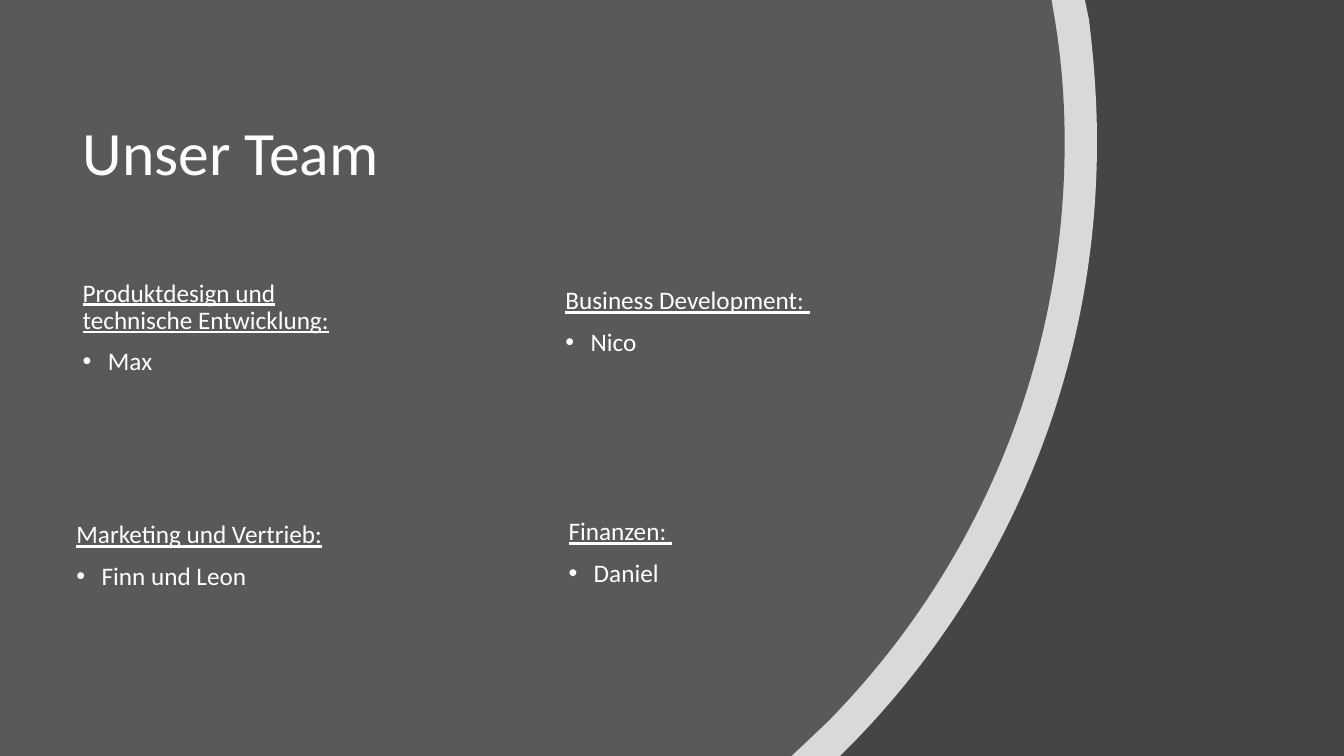
from dataclasses import dataclass

from lxml import etree
from pptx import Presentation
from pptx.dml.color import RGBColor
from pptx.enum import text
from pptx.oxml import ns
from pptx.util import Inches, Pt


@dataclass(frozen=True)
class Theme:
    font: str = "Calibri"
    title_size: int = 44
    body_size: int = 18
    background: RGBColor = RGBColor(0x45, 0x45, 0x45)
    panel: RGBColor = RGBColor(0x59, 0x59, 0x59)
    white: RGBColor = RGBColor(0xFF, 0xFF, 0xFF)


theme = Theme()


def add_run(paragraph, words, size, underline=False):
    paragraph.line_spacing = 0.9
    run = paragraph.add_run()
    run.text = words
    run.font.name = theme.font
    run.font.size = Pt(size)
    run.font.color.rgb = theme.white
    run.font.underline = underline


def set_bullet(paragraph, indent, bullet=None):
    properties = paragraph._p.get_or_add_pPr()
    properties.set("marL", str(Inches(indent)))
    properties.set("indent", str(-Inches(indent)))
    if bullet:
        font = etree.SubElement(properties, ns.qn("a:buFont"))
        font.set("typeface", "Arial")
        etree.SubElement(properties, ns.qn("a:buChar")).set("char", bullet)
    else:
        etree.SubElement(properties, ns.qn("a:buNone"))


# Slide and background
presentation = Presentation()
presentation.slide_width = Inches(13.33)
presentation.slide_height = Inches(7.5)
slide = presentation.slides.add_slide(presentation.slide_layouts[1])
slide.background.fill.solid()
slide.background.fill.fore_color.rgb = theme.background

# Two panels with round right edges, behind the text
# Each edge: two corners, two curves of three points, the bottom corner
panels = [
    (theme.white, 80, [(10.76, 0), (10.8, 0.19),
                       (10.85, 0.59), (10.88, 1), (10.88, 1.41),
                       (10.88, 3.72), (9.97, 5.81), (8.49, 7.34),
                       (8.33, 7.5)]),
    (theme.panel, 100, [(10.43, 0), (10.47, 0.24),
                        (10.53, 0.62), (10.56, 1.01), (10.56, 1.41),
                        (10.56, 3.66), (9.66, 5.69), (8.2, 7.17),
                        (7.85, 7.5)]),
]
for layer, (color, opacity, edge) in enumerate(panels):
    builder = slide.shapes.build_freeform(0, 0)
    outline = [(Inches(x), Inches(y)) for x, y in edge + [(0, 7.5)]]
    builder.add_line_segments(outline, close=True)
    panel = builder.convert_to_shape()

    # Join the line steps of each curve into one Bezier step
    lines = panel._element.findall(".//" + ns.qn("a:lnTo"))
    for first in (2, 5):
        curve = etree.Element(ns.qn("a:cubicBezTo"))
        lines[first].addprevious(curve)
        for line in lines[first:first + 3]:
            curve.append(line[0])
            line.getparent().remove(line)

    panel.shadow.inherit = False
    panel.line.fill.background()
    panel.fill.solid()
    panel.fill.fore_color.rgb = color
    if opacity < 100:
        color_element = panel._element.spPr.find(".//" + ns.qn("a:srgbClr"))
        alpha = etree.SubElement(color_element, ns.qn("a:alpha"))
        alpha.set("val", str(opacity * 1000))
    slide.shapes._spTree.insert(2 + layer, panel._element)

# Title
title = slide.shapes.title
title.left, title.top = Inches(0.72), Inches(1.09)
title.width, title.height = Inches(8.48), Inches(0.83)
title.text_frame.auto_size = text.MSO_AUTO_SIZE.NONE
title.text_frame.vertical_anchor = text.MSO_ANCHOR.BOTTOM
title_paragraph = title.text_frame.paragraphs[0]
title_paragraph.alignment = text.PP_ALIGN.LEFT
add_run(title_paragraph, "Unser Team", theme.title_size)

# Teams: the first fills the body placeholder, the others get text boxes
# Heading, members, left, top, width, height, top margin
teams = [
    ("Produktdesign und technische Entwicklung:", "Max ", 0.72, 2.73, 3.22, 1.39, 0.05),
    ("Finanzen: ", "Daniel ", 5.54, 5.1, 1.99, 1.06, 0.05),
    ("Marketing und Vertrieb:", "Finn und Leon", 0.66, 4.27, 2.66, 1.6, 0.91),
    ("Business Development: ", "Nico ", 5.51, 2.81, 3.48, 1.05, 0.05),
]
for number, (heading, members, *place, top_margin) in enumerate(teams):
    left, top, width, height = [Inches(length) for length in place]
    if number == 0:
        box = slide.placeholders[1]
        box.left, box.top, box.width, box.height = left, top, width, height
    else:
        box = slide.shapes.add_textbox(left, top, width, height)
    frame = box.text_frame
    frame.word_wrap = True
    frame.auto_size = text.MSO_AUTO_SIZE.NONE
    frame.margin_top = Inches(top_margin)

    heading_paragraph = frame.paragraphs[0]
    set_bullet(heading_paragraph, 0)
    heading_paragraph.space_before = Pt(0)
    add_run(heading_paragraph, heading, theme.body_size, underline=True)

    members_paragraph = frame.add_paragraph()
    set_bullet(members_paragraph, 0.25, "•")
    members_paragraph.space_before = Pt(10)
    add_run(members_paragraph, members, theme.body_size)

presentation.save("out.pptx")
